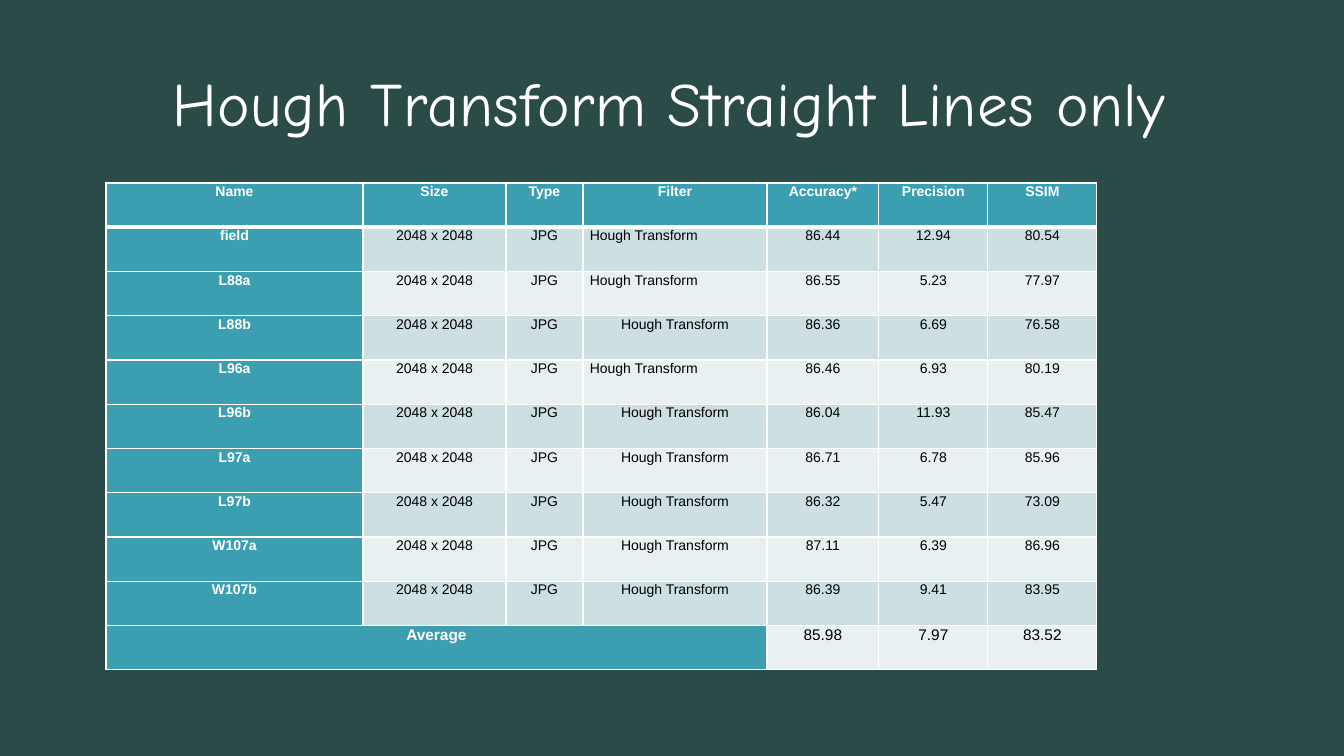
from lxml.etree import SubElement
from pptx import Presentation
from pptx.dml.color import RGBColor
from pptx.enum.shapes import MSO_SHAPE as Shape
from pptx.enum.text import MSO_ANCHOR as Anchor, PP_ALIGN as Align
from pptx.oxml.ns import qn
from pptx.util import Pt

PX = 914400 / 100.8
COLORS = {"base": "1B2F2E", "board": "2B4B49", "teal": "3B9EB1", "band": "CEDFE4",
          "pale": "E8F0F2", "white": "FFFFFF", "black": "000000"}


def px(*lengths):
    return [round(length * PX) for length in lengths]


def style_text(para, font, size, color, bold=False):
    span = para.runs[0]
    span.font.name = font
    span.font.size = Pt(size)
    span.font.bold = bold
    span.font.color.rgb = RGBColor.from_string(COLORS[color])
    return span


deck = Presentation()
deck.slide_width, deck.slide_height = px(1344, 756)
page = deck.slides.add_slide(deck.slide_layouts[6])

# Background
page.background.fill.solid()
page.background.fill.fore_color.rgb = RGBColor.from_string(COLORS["base"])
board = page.shapes.add_shape(Shape.RECTANGLE, *px(0, 0, 1344, 756))
board.shadow.inherit = False
board.fill.solid()
board.fill.fore_color.rgb = RGBColor.from_string(COLORS["board"])
board.line.fill.background()

# Title
title = page.shapes.add_textbox(*px(79, 69, 1182, 77)).text_frame
title.word_wrap = True
title.vertical_anchor = Anchor.MIDDLE
title.margin_left = title.margin_top = title.margin_right = title.margin_bottom = 0
title.text = "Hough Transform Straight Lines only"
para = title.paragraphs[0]
para.alignment = Align.CENTER
para.line_spacing = 0.88
span = style_text(para, "Comic Neue", 44, "white")
span.font._element.set("spc", "40")

# Table contents
results = [
    ("field", "86.44", "12.94", "80.54"),
    ("L88a", "86.55", "5.23", "77.97"),
    ("L88b", "86.36", "6.69", "76.58"),
    ("L96a", "86.46", "6.93", "80.19"),
    ("L96b", "86.04", "11.93", "85.47"),
    ("L97a", "86.71", "6.78", "85.96"),
    ("L97b", "86.32", "5.47", "73.09"),
    ("W107a", "87.11", "6.39", "86.96"),
    ("W107b", "86.39", "9.41", "83.95"),
]
rows = [["Name", "Size", "Type", "Filter", "Accuracy*", "Precision", "SSIM"]]
rows += [[name, "2048 x 2048", "JPG", "Hough Transform", *scores] for name, *scores in results]
rows.append(["Average", "", "", "", "85.98", "7.97", "83.52"])
last_row = len(rows) - 1
left_aligned_filters = {"field", "L88a", "L96a"}

# Table grid
widths = [257, 143, 77, 184, 112, 109, 109]
table = page.shapes.add_table(len(rows), len(widths), *px(106, 183, sum(widths), 487)).table
for column, width in zip(table.columns, px(*widths)):
    column.width = width
table.cell(last_row, 0).merge(table.cell(last_row, 3))

# Table cells
for row, values in enumerate(rows):
    for col, value in enumerate(values):
        cell = table.cell(row, col)
        heading = row == 0 or col == 0 or cell.is_spanned
        cell.margin_left, cell.margin_right = px(7, 7)
        cell.margin_top = cell.margin_bottom = 0

        if value:
            cell.text = value
            para = cell.text_frame.paragraphs[0]
            filter_left = col == 3 and values[0] in left_aligned_filters
            para.alignment = Align.LEFT if filter_left else Align.CENTER
            para.line_spacing = 1.07
            para.space_before = Pt(12)
            style_text(para, "Arial", 11 if row == last_row else 10,
                       "white" if heading else "black", heading)

        # Borders come before the fill in the cell properties
        properties = cell._tc.get_or_add_tcPr()
        for side in "LRTB":
            thick = (row == 0 and side == "B") or (row == 1 and side == "T")
            border = SubElement(properties, qn(f"a:ln{side}"), w=str(Pt(3 if thick else 1)))
            SubElement(SubElement(border, qn("a:solidFill")), qn("a:srgbClr"), val=COLORS["white"])
        cell.fill.solid()
        shade = "teal" if heading else "band" if row % 2 else "pale"
        cell.fill.fore_color.rgb = RGBColor.from_string(COLORS[shade])

deck.save("out.pptx")
